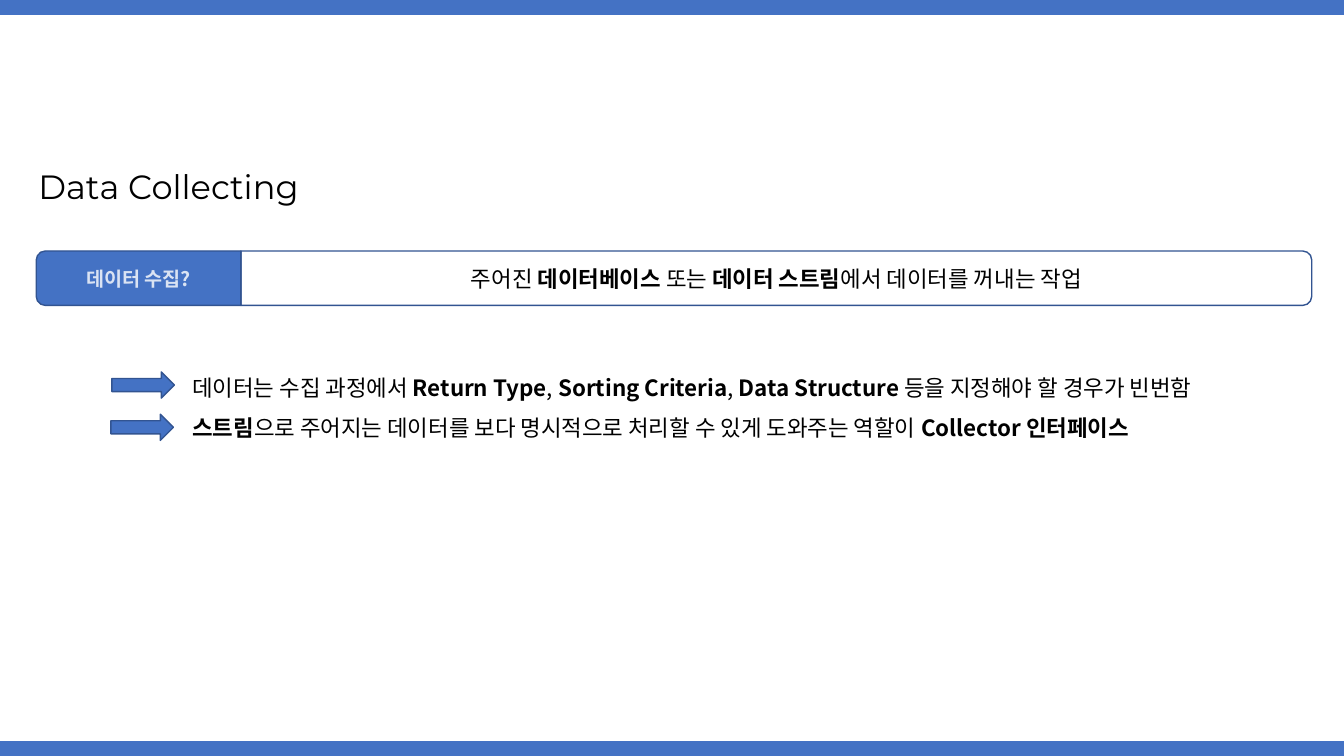
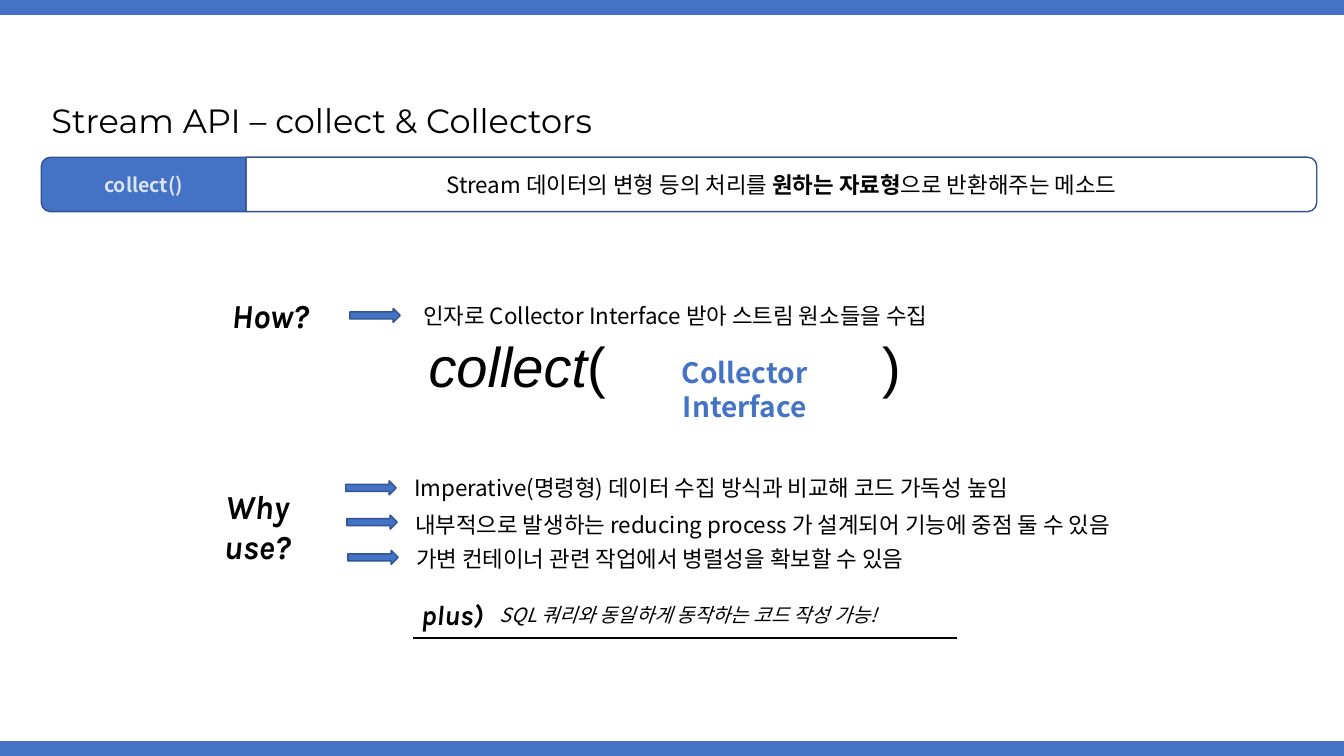
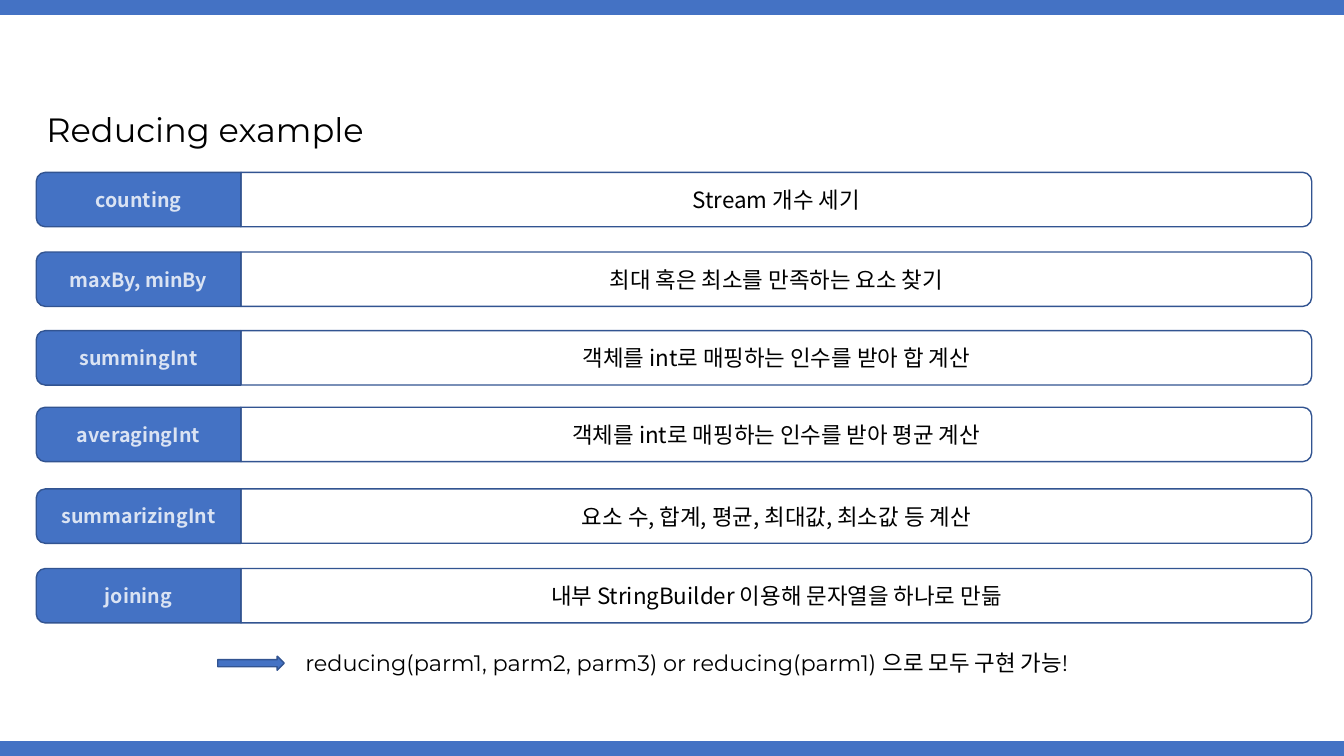
from lxml import etree
from pptx import Presentation
from pptx.dml.color import RGBColor
from pptx.enum.shapes import MSO_CONNECTOR, MSO_SHAPE
from pptx.enum.text import MSO_ANCHOR, MSO_AUTO_SIZE, PP_ALIGN
from pptx.oxml.ns import qn
from pptx.util import Inches, Pt

# Shared look
BLUE = RGBColor(0x44, 0x72, 0xC4)
EDGE = RGBColor(0x32, 0x54, 0x91)
PALE = RGBColor(0xDA, 0xE3, 0xF3)
BLACK = RGBColor(0, 0, 0)
BODY, HEADING, ACCENT, CODE = "Noto Sans CJK KR", "Montserrat", "Karla", "Arial"
RECT, ARROW = MSO_SHAPE.RECTANGLE, MSO_SHAPE.RIGHT_ARROW
ROUND_TOP = MSO_SHAPE.ROUND_2_SAME_RECTANGLE
STRAIGHT = MSO_CONNECTOR.STRAIGHT
TOP, MIDDLE = MSO_ANCHOR.TOP, MSO_ANCHOR.MIDDLE
LEFT, CENTER = PP_ALIGN.LEFT, PP_ALIGN.CENTER
GROW, NO_FIT = MSO_AUTO_SIZE.SHAPE_TO_FIT_TEXT, MSO_AUTO_SIZE.NONE
TITLE_ONLY = 5

PAGE_W, PAGE_H = 13.33, 7.5
BAND_H = 0.14
BAR_H, LABEL_W, DETAIL_W = 0.54, 2.03, 10.62
LABEL_H, LINE_H = 0.34, 0.37
TITLE_H = 0.5

deck = Presentation()
deck.slide_width, deck.slide_height = Inches(PAGE_W), Inches(PAGE_H)


def add_span(para, text, size, font, color=BLACK, bold=False, italic=False):
    span = para.add_run()
    span.text = text
    span.font.size = Pt(size)
    span.font.bold, span.font.italic = bold, italic
    span.font.color.rgb = color
    span.font.name = font
    # Korean letters take the body font
    latin = span.font._element.find(qn("a:latin"))
    east_asian = etree.Element(qn("a:ea"), typeface=BODY)
    latin.addnext(east_asian)


def add_text(page, box, text, size=16, font=BODY, color=BLACK, bold=False,
             italic=False, align=LEFT, anchor=MIDDLE):
    """Place one paragraph; parts between asterisks are bold."""
    frame_box = page.shapes.add_textbox(*map(Inches, box))
    frame = frame_box.text_frame
    frame.word_wrap = True
    frame.auto_size = GROW
    frame.vertical_anchor = anchor
    para = frame.paragraphs[0]
    para.alignment = align
    for index, part in enumerate(text.split("*")):
        if part:
            add_span(para, part, size, font, color, bold or index % 2 == 1, italic)
    return frame


def add_block(page, kind, box, fill=BLUE, edge=EDGE, rotation=0):
    block = page.shapes.add_shape(kind, *map(Inches, box))
    block.shadow.inherit = False
    block.rotation = rotation
    if fill is None:
        block.fill.background()
    else:
        block.fill.solid()
        block.fill.fore_color.rgb = fill
    block.line.color.rgb = edge
    block.line.width = Pt(1)
    return block


def add_page(title, left, top, width):
    """Page with top and bottom bands and a formatted title."""
    page = deck.slides.add_slide(deck.slide_layouts[TITLE_ONLY])
    for band_top in (0, PAGE_H - BAND_H):
        add_block(page, RECT, (0, band_top, PAGE_W, BAND_H), edge=BLUE)
    heading = page.shapes.title
    heading.left, heading.top = Inches(left), Inches(top)
    heading.width, heading.height = Inches(width), Inches(TITLE_H)
    frame = heading.text_frame
    frame.word_wrap, frame.auto_size = True, NO_FIT
    frame.vertical_anchor = MIDDLE
    frame.paragraphs[0].alignment = LEFT
    add_span(frame.paragraphs[0], title, 24, HEADING)
    return page


def add_bar(page, left, top, label, detail):
    """Blue label on the left joined to an outlined description."""
    middle = top + BAR_H / 2
    detail_left = left + LABEL_W
    for side, width, fill, turn in ((left, LABEL_W, BLUE, 270),
                                    (detail_left, DETAIL_W, None, 90)):
        box = (side + (width - BAR_H) / 2, middle - width / 2, BAR_H, width)
        add_block(page, ROUND_TOP, box, fill, rotation=turn)
    add_text(page, (left, middle - LABEL_H / 2, LABEL_W, LABEL_H), label,
             size=14, color=PALE, bold=True, align=CENTER)
    add_text(page, (detail_left, middle - LINE_H / 2, DETAIL_W, LINE_H), detail,
             align=CENTER)


def add_point(page, arrow, box, text, font=BODY):
    """Arrow followed by a line of text."""
    add_block(page, ARROW, arrow)
    add_text(page, box, text, font=font)


def add_call(page, left, top):
    """Method call with its argument set between the brackets."""
    frame = add_text(page, (left, top, 7.71, 0.77), "", size=40)
    frame.margin_left = Inches(1.49)
    para = frame.paragraphs[0]
    tabs = etree.SubElement(para._p.get_or_add_pPr(), qn("a:tabLst"))
    etree.SubElement(tabs, qn("a:tab"), pos=str(Inches(4.5)), algn="l")
    add_span(para, "collect", 40, CODE, italic=True)
    add_span(para, "(\t)", 40, CODE)
    add_text(page, (left + 3.28, top + 0.24, 2.69, 0.44), "Collector Interface",
             size=20, color=BLUE, bold=True, align=CENTER, anchor=TOP)


def add_extra(page, left, top):
    """Underlined closing remark."""
    add_text(page, (left + 0.78, top + 0.05, 5.25, LABEL_H),
             "SQL 쿼리와 동일하게 동작하는 코드 작성 가능!", size=14, italic=True)
    add_text(page, (left, top, 0.94, 0.44), "plus)", size=20, font=ACCENT,
             bold=True, italic=True, anchor=TOP)
    line_y = Inches(top + 0.45)
    rule = page.shapes.add_connector(STRAIGHT, Inches(left + 0.02), line_y,
                                     Inches(left + 5.41), line_y)
    rule.line.color.rgb = BLACK
    rule.line.width = Pt(1.5)
    etree.SubElement(rule._element.spPr, qn("a:effectLst"))


def build_collecting():
    page = add_page("Data Collecting", 0.28, 1.6, 3.45)
    add_bar(page, 0.36, 2.49, "데이터 수집?",
            "주어진 *데이터베이스* 또는 *데이터 스트림*에서 데이터를 꺼내는 작업")
    add_point(page, (1.11, 3.69, 0.62, 0.26), (1.81, 3.66, 10.96, LINE_H),
              "데이터는 수집 과정에서 *Return Type*, *Sorting Criteria*, "
              "*Data Structure *등을 지정해야 할 경우가 빈번함")
    add_point(page, (1.1, 4.11, 0.62, 0.26), (1.81, 4.06, 10.75, LINE_H),
              "*스트림*으로 주어지는 데이터를 보다 명시적으로 처리할 수 있게 "
              "도와주는 역할이 *Collector 인터페이스*")


def build_collectors():
    page = add_page("Stream API – collect & Collectors", 0.41, 0.94, 7.74)
    add_bar(page, 0.41, 1.56, "collect()",
            "Stream 데이터의 변형 등의 처리를 *원하는 자료형*으로 반환해주는 메소드")
    # Questions
    for text, box in (("How?", (2.07, 2.88, 1.22, 0.5)),
                      ("Why use?", (1.94, 4.77, 1.22, 0.91))):
        add_text(page, box, text, size=24, font=ACCENT, bold=True, italic=True,
                 align=CENTER, anchor=TOP)
    # Answers
    answers = (
        (3.47, 3.06, 2.95, 6.41, " 인자로 Collector Interface 받아 스트림 원소들을 수집"),
        (3.43, 4.77, 4.65, 7, "Imperative(명령형) 데이터 수집 방식과 비교해 코드 가독성 높임"),
        (3.44, 5.11, 5.02, 7.89,
         "내부적으로 발생하는 reducing process 가 설계되어 기능에 중점 둘 수 있음"),
        (3.45, 5.46, 5.36, 7.89, "가변 컨테이너 관련 작업에서 병렬성을 확보할 수 있음"),
    )
    for left, arrow_top, top, width, text in answers:
        add_point(page, (left, arrow_top, 0.5, 0.14),
                  (left + 0.58, top, width, LINE_H), text)
    add_call(page, 2.76, 3.24)
    add_extra(page, 4.08, 5.88)


def build_reducing():
    page = add_page("Reducing example", 0.36, 1.03, 5.71)
    collectors = (
        (1.71, "counting", "Stream 개수 세기"),
        (2.5, "maxBy, minBy", "최대 혹은 최소를 만족하는 요소 찾기"),
        (3.28, "summingInt", "객체를 int로 매핑하는 인수를 받아 합 계산"),
        (4.04, "averagingInt", "객체를 int로 매핑하는 인수를 받아 평균 계산"),
        (4.85, "summarizingInt", "요소 수, 합계, 평균, 최대값, 최소값 등 계산"),
        (5.64, "joining", "내부 StringBuilder 이용해 문자열을 하나로 만듦"),
    )
    for top, label, detail in collectors:
        add_bar(page, 0.36, top, label, detail)
    add_point(page, (2.16, 6.51, 0.66, 0.14), (2.93, 6.39, 9.8, LINE_H),
              "reducing(parm1, parm2, parm3) or reducing(parm1) 으로 모두 구현 가능!",
              font=HEADING)


build_collecting()
build_collectors()
build_reducing()
deck.save("out.pptx")
